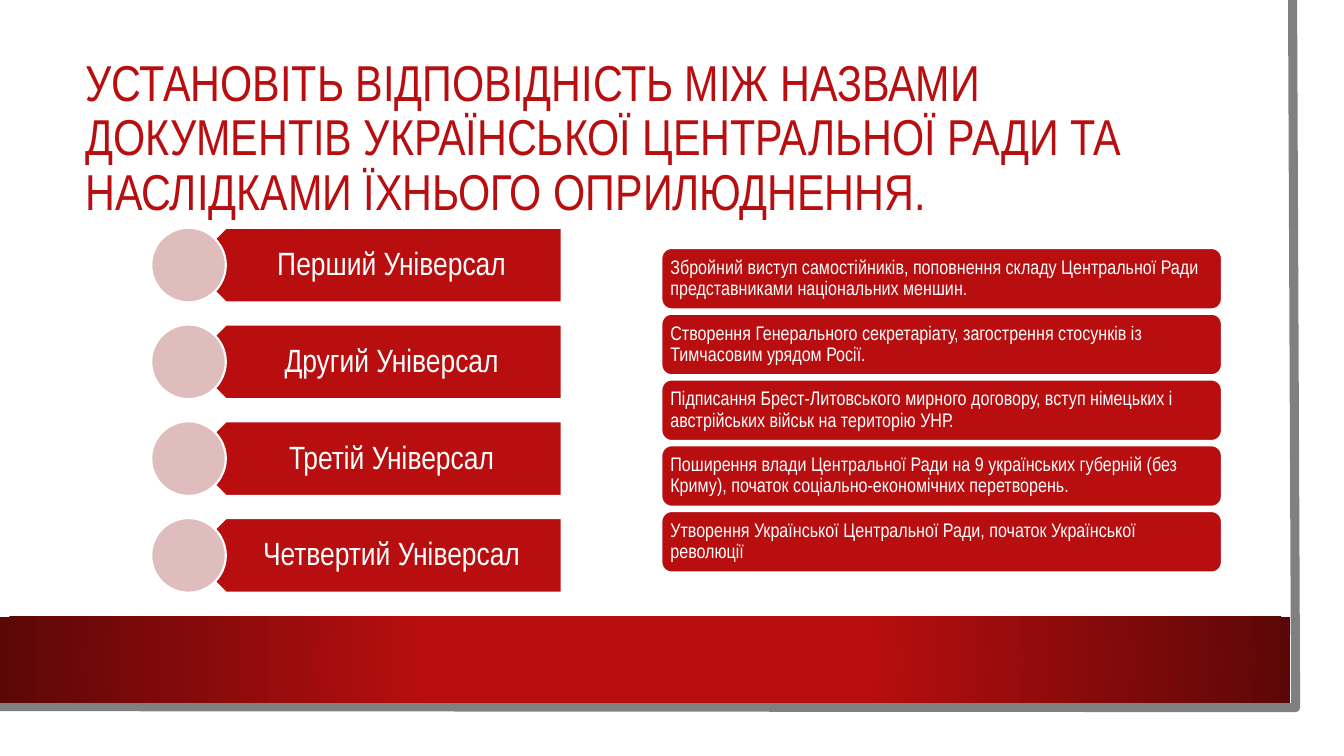
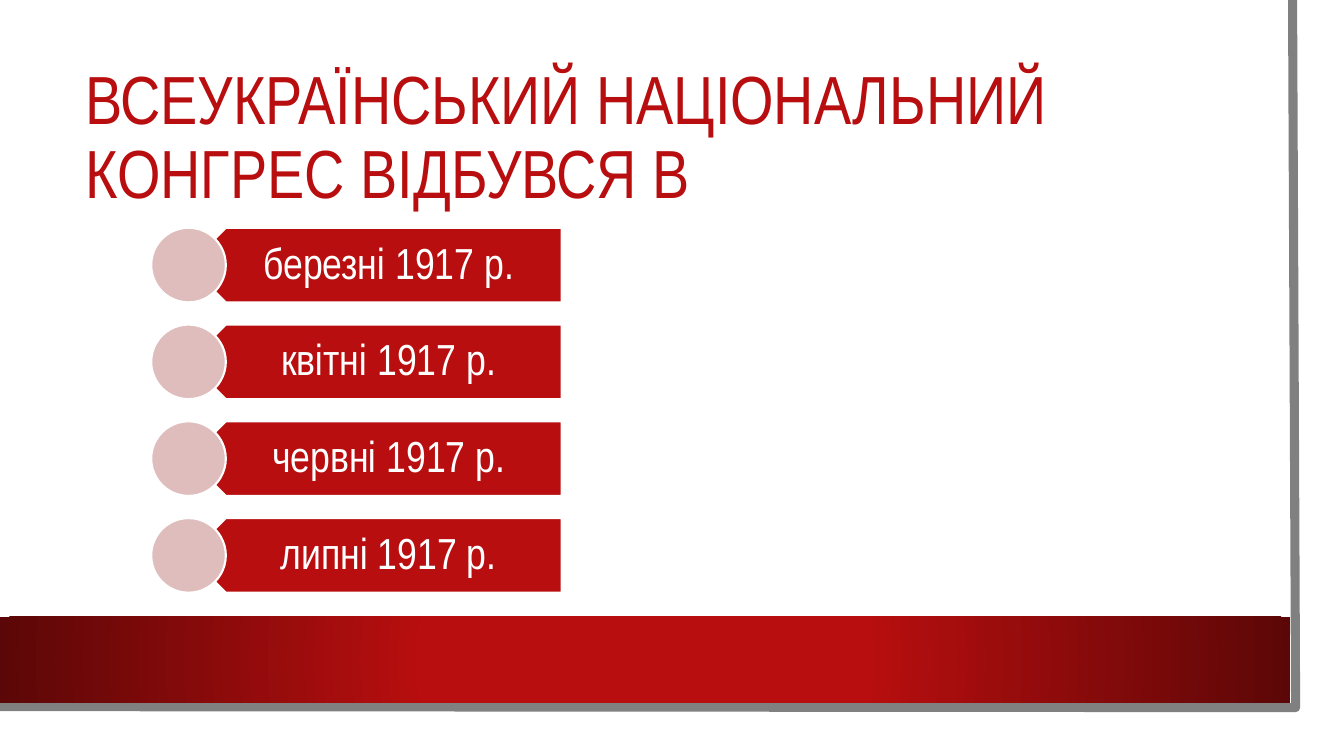
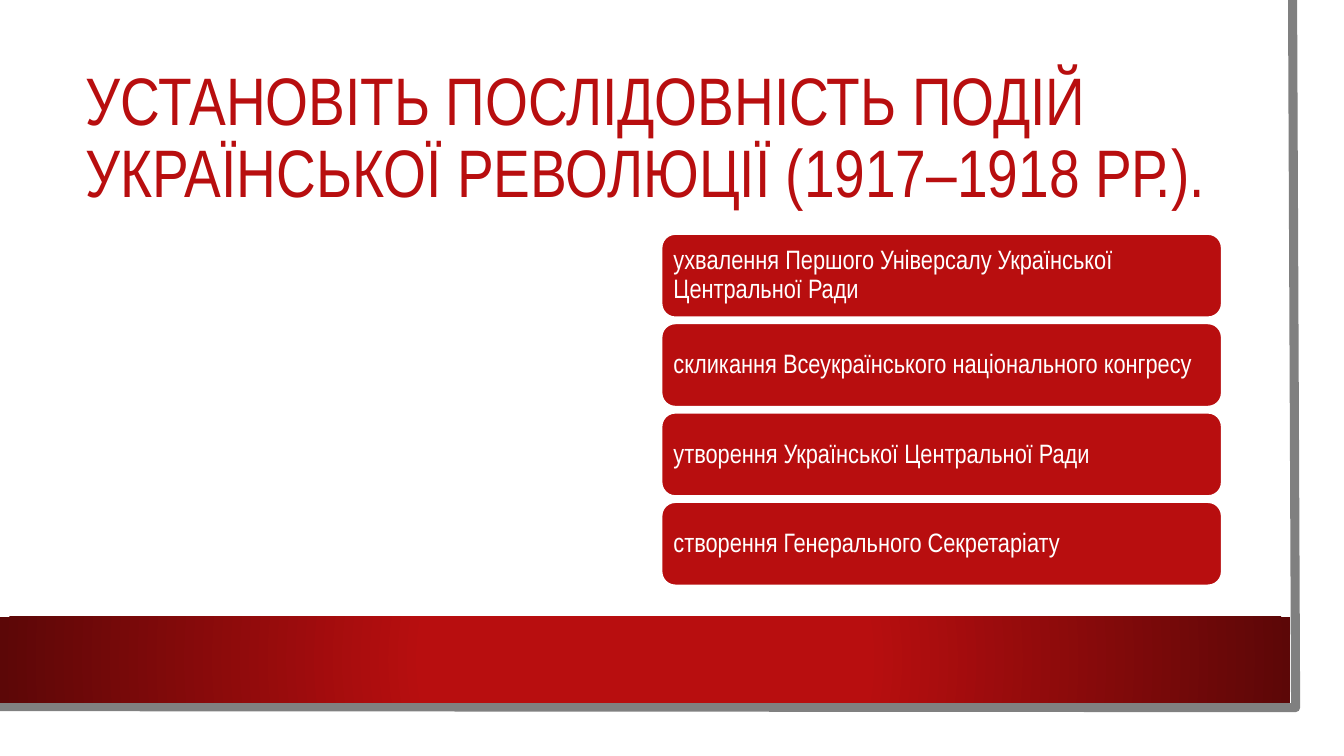
from pptx import Presentation
from pptx import util as u
from pptx.dml import color
from pptx.enum import shapes, text
from pptx.oxml import parse_xml
from pptx.oxml.ns import nsdecls, qn

SCALE = 9144
FONT = "Arial Narrow"
RED, DARK, ROSE, GRAY, WHITE = "B80E0F", "5C0707", "DFBDBD", "808080", "FFFFFF"
KIND = shapes.MSO_SHAPE
LEFT, MID = text.PP_ALIGN.LEFT, text.PP_ALIGN.CENTER
SIDES = ("margin_left", "margin_top", "margin_right", "margin_bottom")

GLOW = f"""<a:gradFill {nsdecls('a')} rotWithShape="1"><a:gsLst>
<a:gs pos="34000"><a:srgbClr val="{RED}"/></a:gs>
<a:gs pos="100000"><a:srgbClr val="{DARK}"/></a:gs></a:gsLst>
<a:path path="circle"><a:fillToRect l="50000" t="50000" r="50000" b="50000"/></a:path>
</a:gradFill>"""


def px(n):
    return u.Emu(int(n * SCALE))


def rgb(code):
    return color.RGBColor.from_string(code)


def apply(item, values):
    for name, value in values.items():
        setattr(item, name, value)


def paint(shape, fill=None, line=None, width=1.5):
    shape.shadow.inherit = False
    if fill:
        shape.fill.solid()
        shape.fill.fore_color.rgb = rgb(fill)
    else:
        shape.fill.background()
    if line:
        shape.line.color.rgb = rgb(line)
        shape.line.width = u.Pt(width)
    else:
        shape.line.fill.background()


def draw(slide, kind, box, fill, line=None):
    shape = slide.shapes.add_shape(kind, *map(px, box))
    paint(shape, fill, line)
    return shape


def write(shape, words, size, ink=WHITE, align=LEFT, inset=(10, 5, 10, 5)):
    frame = shape.text_frame
    apply(frame, {"word_wrap": True, "vertical_anchor": text.MSO_ANCHOR.MIDDLE})
    apply(frame, dict(zip(SIDES, map(px, inset))))
    para = frame.paragraphs[0]
    para.text = words
    apply(para, {"alignment": align, "line_spacing": 0.9})
    apply(para.font, {"name": FONT, "size": u.Pt(size)})
    para.font.color.rgb = rgb(ink)


def label(slide, box, words, size, **style):
    write(slide.shapes.add_textbox(*map(px, box)), words, size, **style)


def frame(slide):
    draw(slide, KIND.RECTANGLE, (0, 0, 1310, 727), WHITE)
    pen = slide.shapes.build_freeform(1282, 0, scale=SCALE)
    pen.add_line_segments([(1285, 702), (-3, 701)], close=False)
    paint(pen.convert_to_shape(), line=GRAY, width=6.5)
    band = draw(slide, KIND.RECTANGLE, (0, 612, 1280, 85), RED)
    props = band.fill._xPr
    props.replace(props.find(qn("a:solidFill")), parse_xml(GLOW))


def start(deck, title, size):
    slide = deck.slides.add_slide(deck.slide_layouts[6])
    frame(slide)
    label(slide, (75, 75, 1137, 127), title, size, ink=RED)
    return slide


def tags(slide, words, size, inset):
    for row, word in enumerate(words):
        top = 226 + 96 * row
        arrow = draw(slide, KIND.PENTAGON, (187, top, 370, 74), RED, WHITE)
        arrow.rotation = 180
        label(slide, (205, top, 352, 74), word, size, align=MID, inset=inset)
        draw(slide, KIND.OVAL, (150, top, 74, 74), ROSE, WHITE)


def cards(slide, words, size, first, last, high, pad):
    step = (last - first) / (len(words) - 1)
    for row, word in enumerate(words):
        box = (656, first + step * row, 556, high)
        card = draw(slide, KIND.ROUNDED_RECTANGLE, box, RED, WHITE)
        write(card, word, size, inset=[pad] * 4)


def main():
    deck = Presentation()
    apply(deck, {"slide_width": px(1333), "slide_height": px(750)})

    slide = start(deck, "УСТАНОВІТЬ ВІДПОВІДНІСТЬ МІЖ НАЗВАМИ ДОКУМЕНТІВ УКРАЇНСЬКОЇ "
                  "ЦЕНТРАЛЬНОЇ РАДИ ТА НАСЛІДКАМИ ЇХНЬОГО ОПРИЛЮДНЕННЯ.", 36)
    names = ("Перший", "Другий", "Третій", "Четвертий")
    tags(slide, [f"{name} Універсал" for name in names], 23, (33, 10, 18, 10))
    cards(slide, [
        "Збройний виступ самостійників, поповнення складу Центральної Ради "
        "представниками національних меншин.",
        "Створення Генерального секретаріату, загострення стосунків із "
        "Тимчасовим урядом Росії.",
        "Підписання Брест-Литовського мирного договору, вступ німецьких і "
        "австрійських військ на територію УНР.",
        "Поширення влади Центральної Ради на 9 українських губерній (без "
        "Криму), початок соціально-економічних перетворень.",
        "Утворення Української Центральної Ради, початок Української революції",
    ], 14, 246, 507, 61, 6)

    slide = start(deck, "ВСЕУКРАЇНСЬКИЙ НАЦІОНАЛЬНИЙ КОНГРЕС ВІДБУВСЯ В", 48.6)
    months = ("березні", "квітні", "червні", "липні")
    tags(slide, [f"{month} 1917 р." for month in months], 31, (33, 13, 24, 13))

    slide = start(deck, "УСТАНОВІТЬ ПОСЛІДОВНІСТЬ ПОДІЙ УКРАЇНСЬКОЇ РЕВОЛЮЦІЇ "
                  "(1917–1918 РР.).", 48)
    cards(slide, [
        "ухвалення Першого Універсалу Української Центральної Ради",
        "скликання Всеукраїнського національного конгресу",
        "утворення Української Центральної Ради",
        "створення Генерального Секретаріату",
    ], 19, 232, 498, 83, 8)

    deck.save("out.pptx")


if __name__ == "__main__":
    main()
